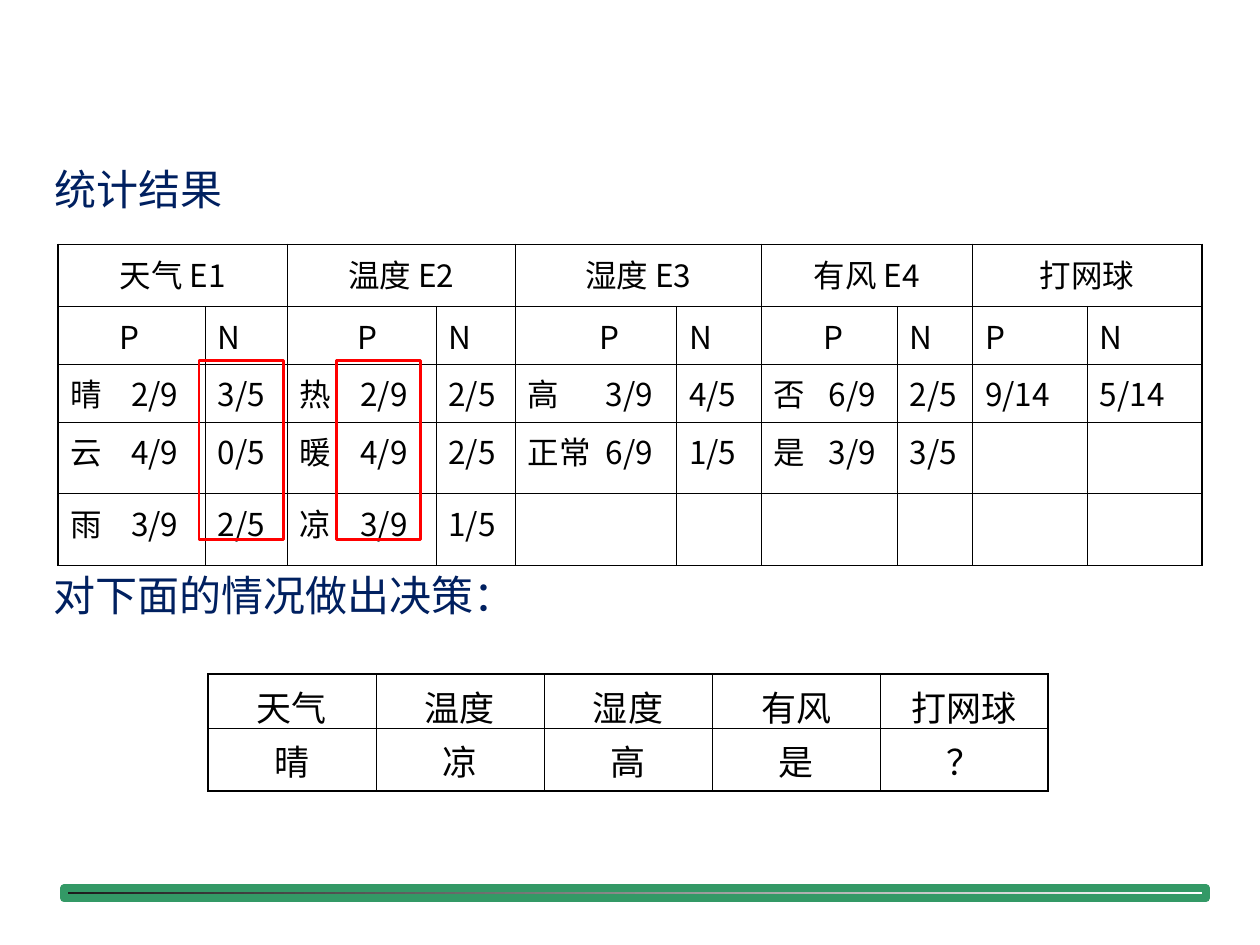
import dataclasses

import pptx
import pptx.dml.color
import pptx.enum.shapes
import pptx.enum.text
import pptx.oxml
import pptx.oxml.ns
import pptx.util

Inches = pptx.util.Inches
Pt = pptx.util.Pt
Align = pptx.enum.text.PP_ALIGN
Shape = pptx.enum.shapes.MSO_SHAPE


@dataclasses.dataclass
class Theme:
    face: str = "Noto Sans CJK SC"
    ink: str = "000000"
    navy: str = "002060"
    red: str = "FF0000"
    green: str = "339966"
    dark: str = "1C1C1C"
    white: str = "FFFFFF"
    head: int = 24
    stat: int = 18
    case: int = 20
    thin: float = 0.45
    thick: float = 1.08


theme = Theme()

STATS = [
    ["天气 E1", "", "温度 E2", "", "湿度 E3", "", "有风 E4", "", "打网球", ""],
    ["P", "N"] * 5,
    ["晴\t2/9", "3/5", "热\t2/9", "2/5", "高\t3/9", "4/5", "否\t6/9", "2/5", "9/14", "5/14"],
    ["云\t4/9", "0/5", "暖\t4/9", "2/5", "正常\t6/9", "1/5", "是\t3/9", "3/5", "", ""],
    ["雨\t3/9", "2/5", "凉\t3/9", "1/5", "", "", "", "", "", ""],
]
WIDTHS = [1.17, 0.65, 1.18, 0.63, 1.28, 0.67, 1.08, 0.6, 0.91, 0.91]
HEIGHTS = [0.49, 0.46, 0.46, 0.57, 0.57]
TABS = {0: 0.48, 2: 0.48, 4: 0.62, 6: 0.44}
INDENTS = {0: 0.39, 2: 0.46, 4: 0.57, 6: 0.4}

CASE = [
    ["天气", "温度", "湿度", "有风", "打网球"],
    ["晴", "凉", "高", "是", "？"],
]


def color(code):
    return pptx.dml.color.RGBColor.from_string(code)


def node(tag, attrs=""):
    space = pptx.oxml.ns.nsdecls("a")
    return pptx.oxml.parse_xml(f"<a:{tag} {space} {attrs}/>")


def style(para, size, code, align=Align.LEFT):
    para.alignment = align
    font = para.font
    font.name = theme.face
    font.size = Pt(size)
    font.color.rgb = color(code)
    font._element.append(node("ea", f'typeface="{theme.face}"'))


def heading(shape, box, text):
    shape.left, shape.top, shape.width, shape.height = map(Inches, box)
    frame = shape.text_frame
    frame.word_wrap = True
    frame.auto_size = pptx.enum.text.MSO_AUTO_SIZE.SHAPE_TO_FIT_TEXT
    frame.vertical_anchor = pptx.enum.text.MSO_ANCHOR.TOP
    frame.text = text
    style(frame.paragraphs[0], theme.head, theme.navy)


def border(cell, sides):
    props = cell._tc.get_or_add_tcPr()
    for side, outer in sides.items():
        width = Pt(theme.thick if outer else theme.thin)
        line = node(f"ln{side}", f'w="{int(width)}"')
        fill = node("solidFill")
        fill.append(node("srgbClr", f'val="{theme.ink}"'))
        line.append(fill)
        props.append(line)


def grid(slide, box, rows, widths, heights):
    frame = slide.shapes.add_table(len(rows), len(widths), *map(Inches, box))
    table = frame.table
    table.first_row = table.horz_banding = False
    for column, width in zip(table.columns, widths):
        column.width = Inches(width)
    for row, height in zip(table.rows, heights):
        row.height = Inches(height)
    for r, row in enumerate(rows):
        for c, text in enumerate(row):
            cell = table.cell(r, c)
            cell.text = text
            border(cell, {"L": c == 0, "R": c == len(row) - 1,
                          "T": r == 0, "B": r == len(rows) - 1})
            cell.fill.background()
    return table


def stats(slide, box):
    table = grid(slide, box, STATS, WIDTHS, HEIGHTS)
    for r, row in enumerate(STATS):
        for c, text in enumerate(row):
            para = table.cell(r, c).text_frame.paragraphs[0]
            props = para._p.get_or_add_pPr()
            if r == 1 and c in INDENTS:
                props.set("marL", str(int(Inches(INDENTS[c]))))
            if "\t" in text:
                tabs = node("tabLst")
                tabs.append(node("tab", f'pos="{int(Inches(TABS[c]))}" algn="l"'))
                props.append(tabs)
            style(para, theme.stat, theme.ink, Align.LEFT if r else Align.CENTER)
    for c in range(0, len(WIDTHS), 2):
        table.cell(0, c).merge(table.cell(0, c + 1))
        table.cell(0, c)._tc.tcPr.find(pptx.oxml.ns.qn("a:lnR")).set(
            "w", str(int(Pt(theme.thick if c + 2 == len(WIDTHS) else theme.thin))))
    left, top = box[:2]
    for shift in (1.12, 2.21):
        mark(slide, (left + shift, top + 0.92, 0.67, 1.42))


def mark(slide, box):
    shape = slide.shapes.add_shape(Shape.RECTANGLE, *map(Inches, box))
    shape.shadow.inherit = False
    shape.fill.background()
    shape.line.color.rgb = color(theme.red)
    shape.line.width = Pt(1.5)


def case(slide, box):
    count = len(CASE[0])
    table = grid(slide, box, CASE, [box[2] / count] * count, [0.43, 0.5])
    for cell in table.iter_cells():
        style(cell.text_frame.paragraphs[0], theme.case, theme.ink, Align.CENTER)
    for c in range(count):
        table.cell(0, c).margin_bottom = 0


def footer(slide, box):
    shape = slide.shapes.add_shape(Shape.RECTANGLE, *map(Inches, box))
    shape.shadow.inherit = False
    shape.fill.gradient()
    shape.fill.gradient_angle = 0
    for stop, code in zip(shape.fill.gradient_stops, (theme.dark, theme.white)):
        stop.color.rgb = color(code)
    shape.line.color.rgb = color(theme.green)
    shape.line.width = Pt(4.5)


def main():
    deck = pptx.Presentation()
    deck.slide_width, deck.slide_height = Inches(10), Inches(7.5)
    slide = deck.slides.add_slide(deck.slide_layouts[5])
    footer(slide, (0.51, 7.05, 9.06, 0.08))
    heading(slide.shapes.title, (0.33, 1.25, 1.92, 0.5), "统计结果")
    stats(slide, (0.46, 1.94, 9.08, 2.55))
    note = slide.shapes.add_textbox(0, 0, 0, 0)
    heading(note, (0.33, 4.47, 4.67, 0.5), "对下面的情况做出决策：")
    case(slide, (1.65, 5.35, 6.67, 0.93))
    deck.save("out.pptx")


if __name__ == "__main__":
    main()
